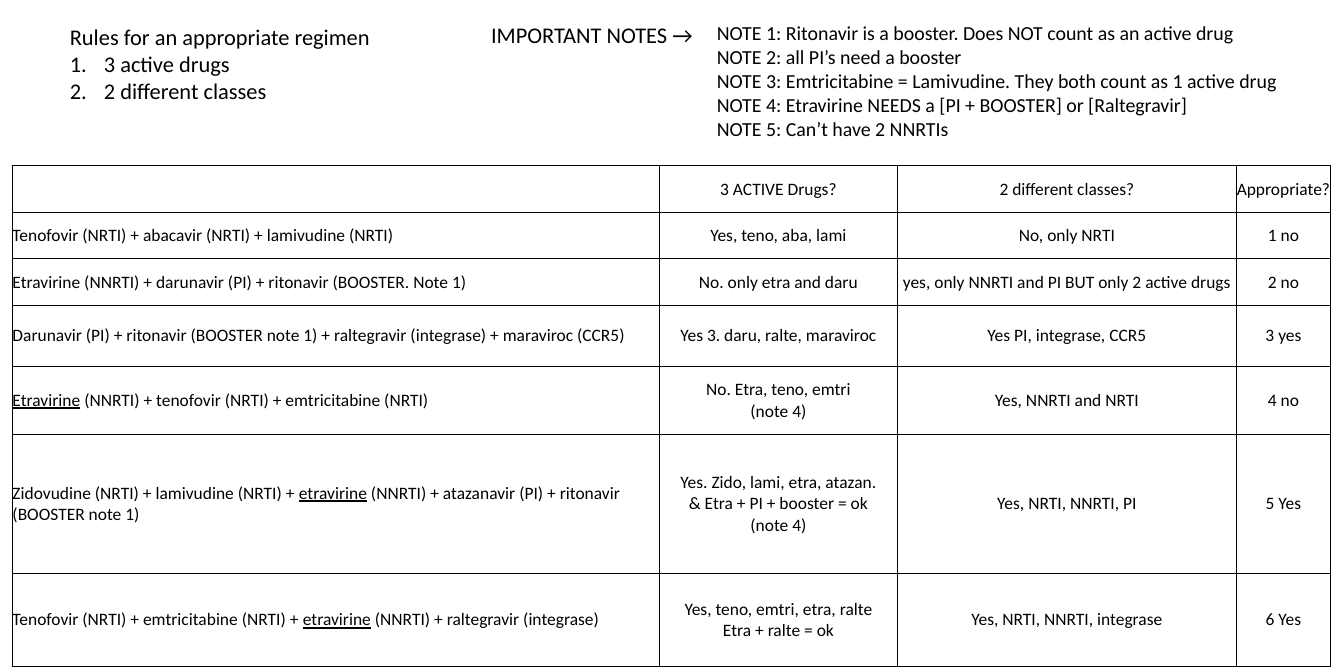
from lxml import etree
from pptx import Presentation
from pptx.dml.color import RGBColor
from pptx.enum.text import MSO_ANCHOR, MSO_AUTO_SIZE, PP_ALIGN
from pptx.oxml.ns import qn
from pptx.util import Inches, Pt

LEFT, CENTER = PP_ALIGN.LEFT, PP_ALIGN.CENTER
TOP, MIDDLE = MSO_ANCHOR.TOP, MSO_ANCHOR.MIDDLE
GROW = MSO_AUTO_SIZE.SHAPE_TO_FIT_TEXT

WIDTH, HEIGHT = 15, 7.5
FONT = "Calibri"
COLORS = {"ink": "000000"}
TWO_CONTENT_LAYOUT = 3

RULES = ["Rules for an appropriate regimen", "3 active drugs", "2 different classes"]
NOTES = [
    "NOTE 1: Ritonavir is a booster. Does NOT count as an active drug",
    "NOTE 2: all PI’s need a booster",
    "NOTE 3: Emtricitabine = Lamivudine. They both count as 1 active drug",
    "NOTE 4: Etravirine NEEDS a [PI + BOOSTER] or [Raltegravir]",
    "NOTE 5: Can’t have 2 NNRTIs",
]

# Table sizes are percentages of the slide's width and height.
COLUMN_SHARES = [48.13, 17.73, 25.2, 7.02]
ROW_SHARES = [6.93, 6.93, 6.93, 9.07, 10.13, 20.67, 13.87]
# Underscores surround underlined words.
REGIMENS = [
    ["", "3 ACTIVE Drugs?", "2 different classes?", "Appropriate?"],
    ["Tenofovir (NRTI) + abacavir (NRTI) + lamivudine (NRTI)",
     "Yes, teno, aba, lami", "No, only NRTI", "1 no"],
    ["Etravirine (NNRTI) + darunavir (PI) + ritonavir (BOOSTER. Note 1)",
     "No. only etra and daru",
     "yes, only NNRTI and PI BUT only 2 active drugs", "2 no"],
    ["Darunavir (PI) + ritonavir (BOOSTER note 1) + raltegravir (integrase) + maraviroc (CCR5)",
     "Yes 3. daru, ralte, maraviroc", "Yes PI, integrase, CCR5", "3 yes"],
    ["_Etravirine_ (NNRTI) + tenofovir (NRTI) + emtricitabine (NRTI)",
     "No. Etra, teno, emtri\n(note 4)", "Yes, NNRTI and NRTI", "4 no"],
    ["Zidovudine (NRTI) + lamivudine (NRTI) + _etravirine_ (NNRTI) + atazanavir (PI)"
     " + ritonavir (BOOSTER note 1)",
     "Yes. Zido, lami, etra, atazan.\n& Etra + PI + booster = ok\n(note 4)",
     "Yes, NRTI, NNRTI, PI", "5 Yes"],
    ["Tenofovir (NRTI) + emtricitabine (NRTI) + _etravirine_ (NNRTI) + raltegravir (integrase)",
     "Yes, teno, emtri, etra, ralte\nEtra + ralte = ok",
     "Yes, NRTI, NNRTI, integrase", "6 Yes"],
]


def across(percent):
    return Inches(WIDTH * percent / 100)


def down(percent):
    return Inches(HEIGHT * percent / 100)


def set_bullet(para, numbered):
    properties = para._p.get_or_add_pPr()
    indent = Inches(0.38) if numbered else 0
    properties.set("marL", str(indent))
    properties.set("indent", str(-indent))
    if numbered:
        etree.SubElement(properties, qn("a:buFont"), typeface="+mj-lt")
        etree.SubElement(properties, qn("a:buAutoNum"), type="arabicPeriod")
    else:
        etree.SubElement(properties, qn("a:buNone"))


def write(frame, lines, size=14, align=LEFT, numbered_from=None):
    """Fill a text frame; lines from index numbered_from on are numbered."""
    for index, line in enumerate(lines):
        para = frame.paragraphs[0] if index == 0 else frame.add_paragraph()
        para.alignment = align
        para.space_before = Pt(0)
        set_bullet(para, numbered_from is not None and index >= numbered_from)
        for part, words in enumerate(line.split("_")):
            if words:
                span = para.add_run()
                span.text = words
                span.font.name = FONT
                span.font.size = Pt(size)
                span.font.color.rgb = RGBColor.from_string(COLORS["ink"])
                if part % 2:
                    span.font.underline = True


def fill_placeholder(box, position, lines, **text_format):
    left, top, width, height = position
    box.left, box.top = across(left), down(top)
    box.width, box.height = across(width), down(height)
    frame = box.text_frame
    frame.word_wrap = True
    frame.auto_size = GROW
    frame.vertical_anchor = TOP
    write(frame, lines, **text_format)


def add_borders(cell):
    properties = cell._tc.get_or_add_tcPr()
    for side in ("lnL", "lnR", "lnT", "lnB"):
        line = etree.SubElement(properties, qn(f"a:{side}"), w=str(Pt(1)))
        fill = etree.SubElement(line, qn("a:solidFill"))
        etree.SubElement(fill, qn("a:srgbClr"), val=COLORS["ink"])


def add_regimen_table(page, left, top):
    table = page.shapes.add_table(
        len(REGIMENS), len(COLUMN_SHARES), across(left), down(top),
        across(sum(COLUMN_SHARES)), down(sum(ROW_SHARES))).table
    table.first_row = table.horz_banding = False
    for column, share in zip(table.columns, COLUMN_SHARES):
        column.width = across(share)
    for row, share, texts in zip(table.rows, ROW_SHARES, REGIMENS):
        row.height = down(share)
        for index, (cell, text) in enumerate(zip(row.cells, texts)):
            cell.margin_left = cell.margin_right = 0
            cell.margin_top = cell.margin_bottom = 0
            cell.vertical_anchor = MIDDLE
            add_borders(cell)
            cell.fill.background()
            write(cell.text_frame, text.split("\n"), align=CENTER if index else LEFT)


def main():
    deck = Presentation()
    deck.slide_width, deck.slide_height = Inches(WIDTH), Inches(HEIGHT)
    page = deck.slides.add_slide(deck.slide_layouts[TWO_CONTENT_LAYOUT])
    heading, rules, notes = list(page.placeholders)[:3]
    fill_placeholder(rules, (4.53, 2.8, 24.4, 13.47), RULES, size=18, numbered_from=1)
    fill_placeholder(notes, (52.67, 2.4, 46.27, 19.33), NOTES, size=16)
    fill_placeholder(heading, (35.87, 2.4, 16.8, 5.33), ["IMPORTANT NOTES →"], size=18)
    add_regimen_table(page, 0.93, 24.67)
    deck.save("out.pptx")


if __name__ == "__main__":
    main()
